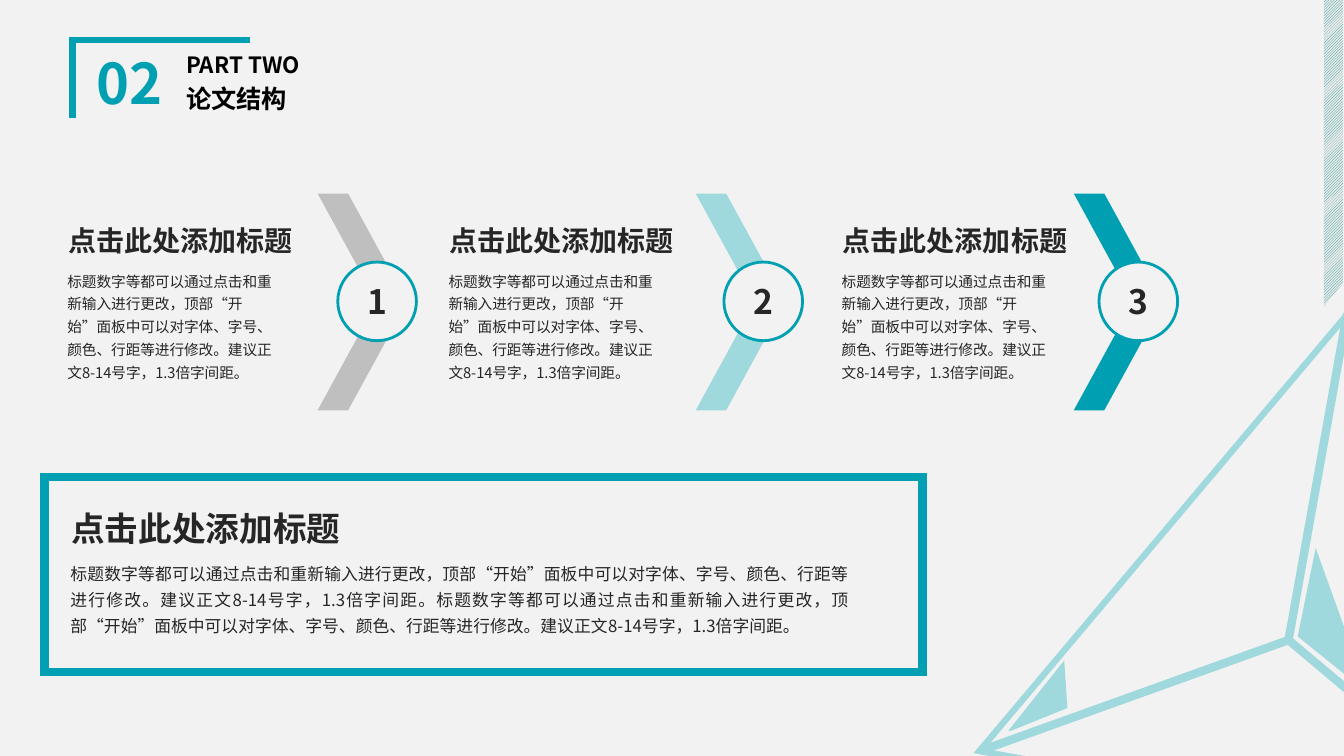
from dataclasses import dataclass

from lxml import etree
from pptx import Presentation
from pptx.dml.color import RGBColor
from pptx.enum.dml import MSO_PATTERN
from pptx.enum.shapes import MSO_CONNECTOR, MSO_SHAPE
from pptx.enum.text import MSO_ANCHOR, MSO_AUTO_SIZE, PP_ALIGN
from pptx.oxml.ns import qn
from pptx.util import Inches, Pt

LEFT, CENTER, JUSTIFY = PP_ALIGN.LEFT, PP_ALIGN.CENTER, PP_ALIGN.JUSTIFY
TOP, MIDDLE = MSO_ANCHOR.TOP, MSO_ANCHOR.MIDDLE
FIT_TEXT = MSO_AUTO_SIZE.SHAPE_TO_FIT_TEXT
RECTANGLE, ELLIPSE = MSO_SHAPE.RECTANGLE, MSO_SHAPE.OVAL
CHEVRON, TRIANGLE = MSO_SHAPE.CHEVRON, MSO_SHAPE.ISOSCELES_TRIANGLE
STRAIGHT = MSO_CONNECTOR.STRAIGHT
HATCH = MSO_PATTERN.LIGHT_UPWARD_DIAGONAL

TITLE = "点击此处添加标题"
BODY = (
    "标题数字等都可以通过点击和重新输入进行更改，顶部“开始”面板中可以对字体、字号、"
    "颜色、行距等进行修改。建议正文8-14号字，1.3倍字间距。"
)


@dataclass(frozen=True)
class Theme:
    font: str = "Noto Sans CJK SC"
    background: str = "F2F2F2"
    teal: str = "009FB1"
    pale: str = "9FD9DE"
    grey: str = "BFBFBF"
    ink: str = "262626"
    black: str = "000000"
    hatch: str = "1A9895"
    hatch_back: str = "E9E9E9"
    part_number: float = 40
    part_title: float = 18
    part_label: float = 16
    heading: float = 24
    step_title: float = 20
    body: float = 12
    step_body: float = 10.5
    body_spacing: float = 1.3
    label_spacing: float = 0.9
    tilt: float = 250.2


class SlideBuilder:
    def __init__(self, slide, theme):
        self.slide = slide
        self.theme = theme
        background = slide.background.fill
        background.solid()
        background.fore_color.rgb = RGBColor.from_string(theme.background)

    def paint(self, shape, fill=None, line=None, width=1):
        shape.shadow.inherit = False
        if fill:
            shape.fill.solid()
            shape.fill.fore_color.rgb = RGBColor.from_string(fill)
        else:
            shape.fill.background()
        if line:
            self.stroke(shape, line, width)
        else:
            shape.line.fill.background()

    def stroke(self, shape, color, width):
        shape.line.color.rgb = RGBColor.from_string(color)
        shape.line.width = Pt(width)
        outline = shape._element.spPr.find(qn("a:ln"))
        etree.SubElement(outline, qn("a:miter")).set("lim", "800000")

    def shape(self, kind, place, fill=None, line=None, width=1, rotation=0):
        shape = self.slide.shapes.add_shape(kind, *map(Inches, place))
        shape.rotation = rotation
        self.paint(shape, fill, line, width)
        return shape

    def outline(self, points, closed, fill=None, line=None, width=1):
        corners = [(Inches(x), Inches(y)) for x, y in points]
        builder = self.slide.shapes.build_freeform(*corners[0])
        builder.add_line_segments(corners[1:], close=closed)
        self.paint(builder.convert_to_shape(), fill, line, width)

    def connector(self, start, end, color, width):
        line = self.slide.shapes.add_connector(STRAIGHT, *map(Inches, start + end))
        self.stroke(line, color, width)
        etree.SubElement(line._element.spPr, qn("a:effectLst"))

    def fill_text(self, frame, text, size, color, bold=False, align=LEFT, spacing=1.0):
        frame.text = text
        para = frame.paragraphs[0]
        para.alignment = align
        para.line_spacing = spacing
        for span in para.runs:
            span.font.name = self.theme.font
            span.font.size = Pt(size)
            span.font.bold = bold
            span.font.color.rgb = RGBColor.from_string(color)
            properties = span._r.get_or_add_rPr()
            east_asian = etree.SubElement(properties, qn("a:ea"))
            east_asian.set("typeface", self.theme.font)

    def text(self, place, text, size, color=None, wrap=True, anchor=TOP, **style):
        box = self.slide.shapes.add_textbox(*map(Inches, place))
        frame = box.text_frame
        frame.word_wrap = wrap
        frame.vertical_anchor = anchor
        if anchor == TOP:
            frame.auto_size = FIT_TEXT
        self.fill_text(frame, text, size, color or self.theme.ink, **style)

    def hatched_strip(self, place, rotation):
        strip = self.shape(RECTANGLE, place, rotation=rotation)
        strip.fill.patterned()
        strip.fill.pattern = HATCH
        strip.fill.fore_color.rgb = RGBColor.from_string(self.theme.hatch)
        strip.fill.back_color.rgb = RGBColor.from_string(self.theme.hatch_back)

    def pyramid(self):
        theme = self.theme
        paper, pale, tilt = theme.background, theme.pale, theme.tilt
        self.shape(TRIANGLE, (8.65, 3.86, 6.53, 5.63), paper, rotation=tilt)
        self.shape(TRIANGLE, (12.28, 5.98, 1.7, 0.52), paper, rotation=tilt)
        self.outline([(10.25, 7.14), (10.22, 6.63), (9.59, 7.4)], True, paper)
        self.shape(TRIANGLE, (9.18, 4.17, 5.68, 4.9), paper, pale, 4.5, tilt)
        for corner in ((9.72, 7.45), (15.29, 8.46), (13.36, 3.11)):
            self.connector(corner, (12.78, 6.35), pale, 6)
        self.shape(TRIANGLE, (12.35, 6.01, 1.48, 0.45), pale, pale, 1, tilt)
        self.outline([(10.58, 7.02), (10.55, 6.57), (10.01, 7.25)], True, pale, pale)

    def header(self):
        theme = self.theme
        corner = [(0.72, 1.17), (0.72, 0.4), (2.48, 0.4)]
        self.outline(corner, False, line=theme.teal, width=4.5)
        label = dict(anchor=MIDDLE, bold=True, spacing=theme.label_spacing)
        self.text((0.82, 0.49, 0.93, 0.73), "02", theme.part_number, theme.teal,
                  align=CENTER, **label)
        self.text((1.75, 0.49, 2.67, 0.34), "PART TWO", theme.part_label,
                  theme.black, **label)
        self.text((1.75, 0.78, 2.67, 0.44), "论文结构", theme.part_title,
                  theme.black, **label)

    def step(self, number, chevron_left, ring_left, text_left, color):
        theme = self.theme
        chevron = self.shape(CHEVRON, (chevron_left, 1.92, 0.89, 2.15), color)
        chevron.adjustments[0] = 0.66
        ring = self.shape(ELLIPSE, (ring_left, 2.6, 0.78, 0.78),
                          theme.background, theme.teal, 2)
        ring.text_frame.vertical_anchor = MIDDLE
        self.fill_text(ring.text_frame, str(number), theme.heading, theme.ink,
                       bold=True, align=CENTER)
        self.text((text_left + 0.01, 2.17, 2.45, 0.44), TITLE, theme.step_title,
                  wrap=False, bold=True)
        self.text((text_left, 2.6, 2.35, 1.25), BODY, theme.step_body,
                  spacing=theme.body_spacing)

    def summary(self):
        theme = self.theme
        self.text((0.61, 4.99, 2.89, 0.5), TITLE, theme.heading, wrap=False, bold=True)
        self.text((0.6, 5.48, 7.92, 0.89), BODY * 2, theme.body,
                  align=JUSTIFY, spacing=theme.body_spacing)
        self.shape(RECTANGLE, (0.44, 4.73, 8.71, 1.94), line=theme.teal, width=6)


def main():
    deck = Presentation()
    deck.slide_width, deck.slide_height = Inches(13.33), Inches(7.5)
    theme = Theme()
    page = SlideBuilder(deck.slides.add_slide(deck.slide_layouts[6]), theme)
    page.hatched_strip((9.46, 3.64, 7.53, 0.19), 270)
    page.pyramid()
    page.header()
    steps = [
        (3.35, 0.57, theme.grey),
        (7.18, 4.35, theme.pale),
        (10.9, 8.25, theme.teal),
    ]
    for index, (ring_left, text_left, color) in enumerate(steps):
        page.step(index + 1, 3.15 + 3.75 * index, ring_left, text_left, color)
    page.summary()
    deck.save("out.pptx")


if __name__ == "__main__":
    main()
